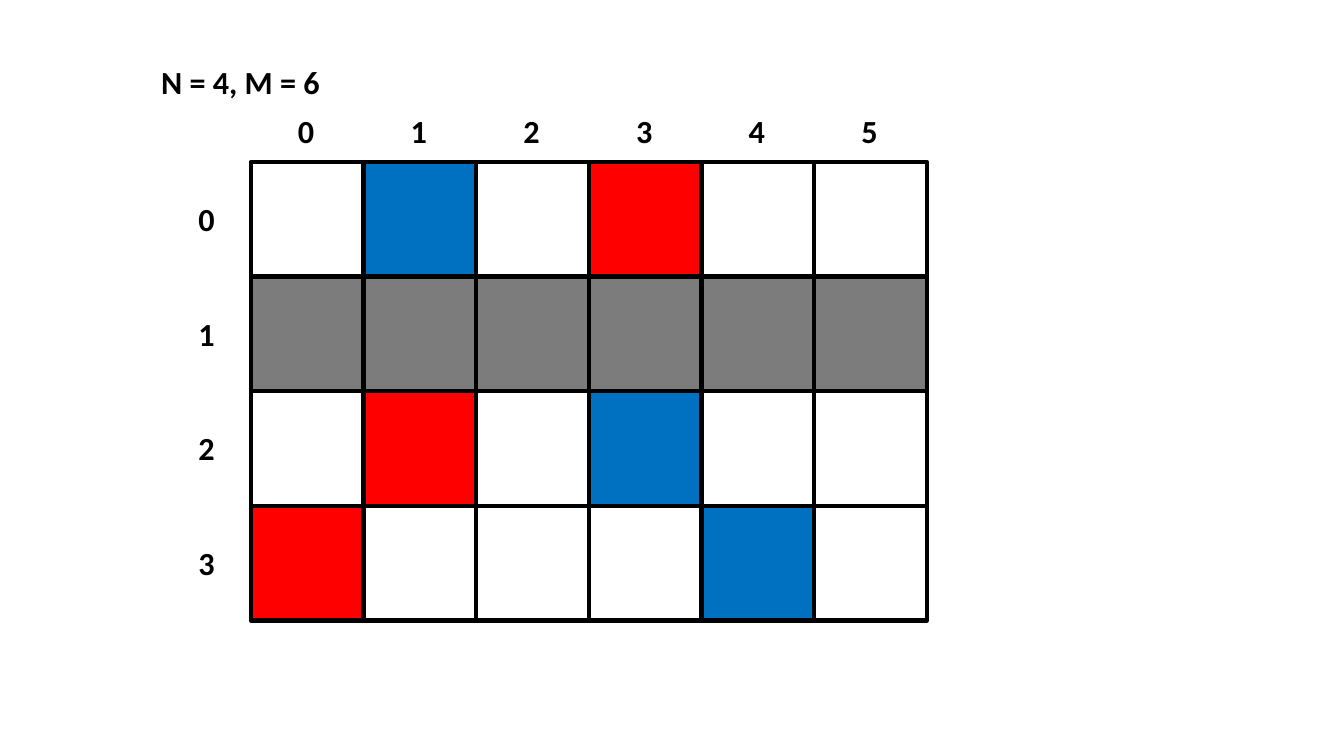
import dataclasses

import pptx
import pptx.dml.color
import pptx.enum.shapes
import pptx.enum.text
import pptx.util

Cm = pptx.util.Cm
Pt = pptx.util.Pt

BLACK = "000000"
FILLS = {"B": "0070C0", "R": "FF0000", "G": "7C7C7C"}
GRID = (
    ".B.R..",
    "GGGGGG",
    ".R.B..",
    "R...B.",
)
LEFT, TOP = 6.32, 4.08
WIDE, HIGH = 2.84, 2.89
LABEL_W, LABEL_H = 0.91, 1.24


@dataclasses.dataclass
class Cell:
    row: int
    col: int
    mark: str


@dataclasses.dataclass
class Label:
    text: str
    left: float
    top: float
    width: float = LABEL_W


def color(code: str) -> pptx.dml.color.RGBColor:
    return pptx.dml.color.RGBColor.from_string(code)


def draw_cell(slide, cell: Cell) -> None:
    box = slide.shapes.add_shape(
        pptx.enum.shapes.MSO_SHAPE.RECTANGLE,
        Cm(LEFT + cell.col * WIDE), Cm(TOP + cell.row * HIGH),
        Cm(WIDE), Cm(HIGH),
    )
    box.shadow.inherit = False
    box.line.color.rgb = color(BLACK)
    box.line.width = Pt(3)
    if cell.mark in FILLS:
        box.fill.solid()
        box.fill.fore_color.rgb = color(FILLS[cell.mark])
    else:
        box.fill.background()


def draw_label(slide, label: Label) -> None:
    box = slide.shapes.add_textbox(
        Cm(label.left), Cm(label.top), Cm(label.width), Cm(LABEL_H)
    )
    frame = box.text_frame
    frame.word_wrap = False
    frame.auto_size = pptx.enum.text.MSO_AUTO_SIZE.SHAPE_TO_FIT_TEXT
    frame.text = label.text
    font = frame.paragraphs[0].runs[0].font
    font.name = "Calibri"
    font.size = Pt(23)
    font.bold = True
    font.color.rgb = color(BLACK)


def main() -> None:
    deck = pptx.Presentation()
    deck.slide_width, deck.slide_height = Cm(33.87), Cm(19.05)
    slide = deck.slides.add_slide(deck.slide_layouts[6])

    for row, marks in enumerate(GRID):
        for col, mark in enumerate(marks):
            draw_cell(slide, Cell(row, col, mark))

    rows, cols = len(GRID), len(GRID[0])
    labels = [Label(f"N = {rows}, M = {cols}", 3.81, 1.45, 4.57)]
    labels += [Label(str(col), 7.26 + col * WIDE, 2.67) for col in range(cols)]
    labels += [Label(str(row), 4.75, 4.9 + row * HIGH) for row in range(rows)]
    for label in labels:
        draw_label(slide, label)

    deck.save("out.pptx")


if __name__ == "__main__":
    main()
